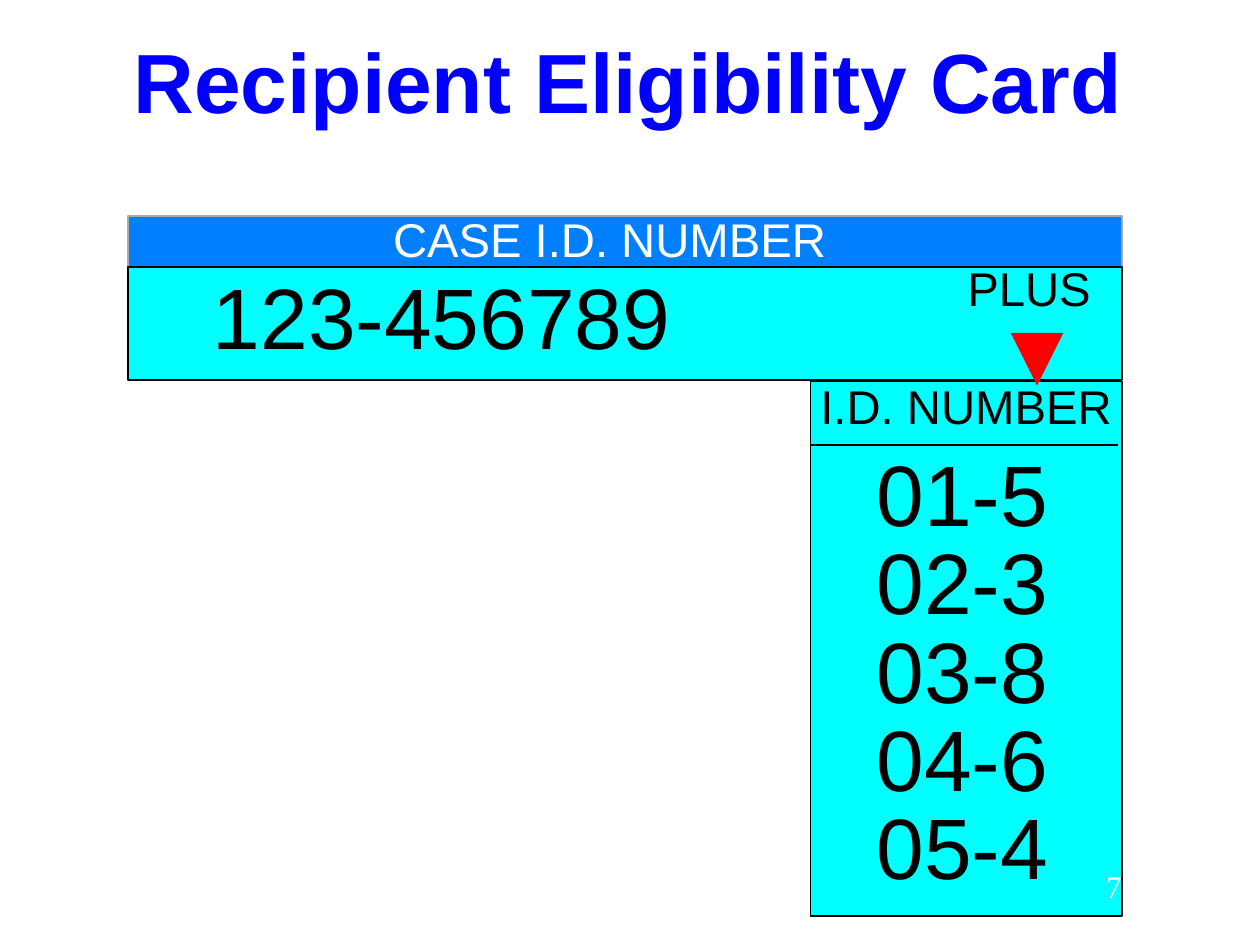
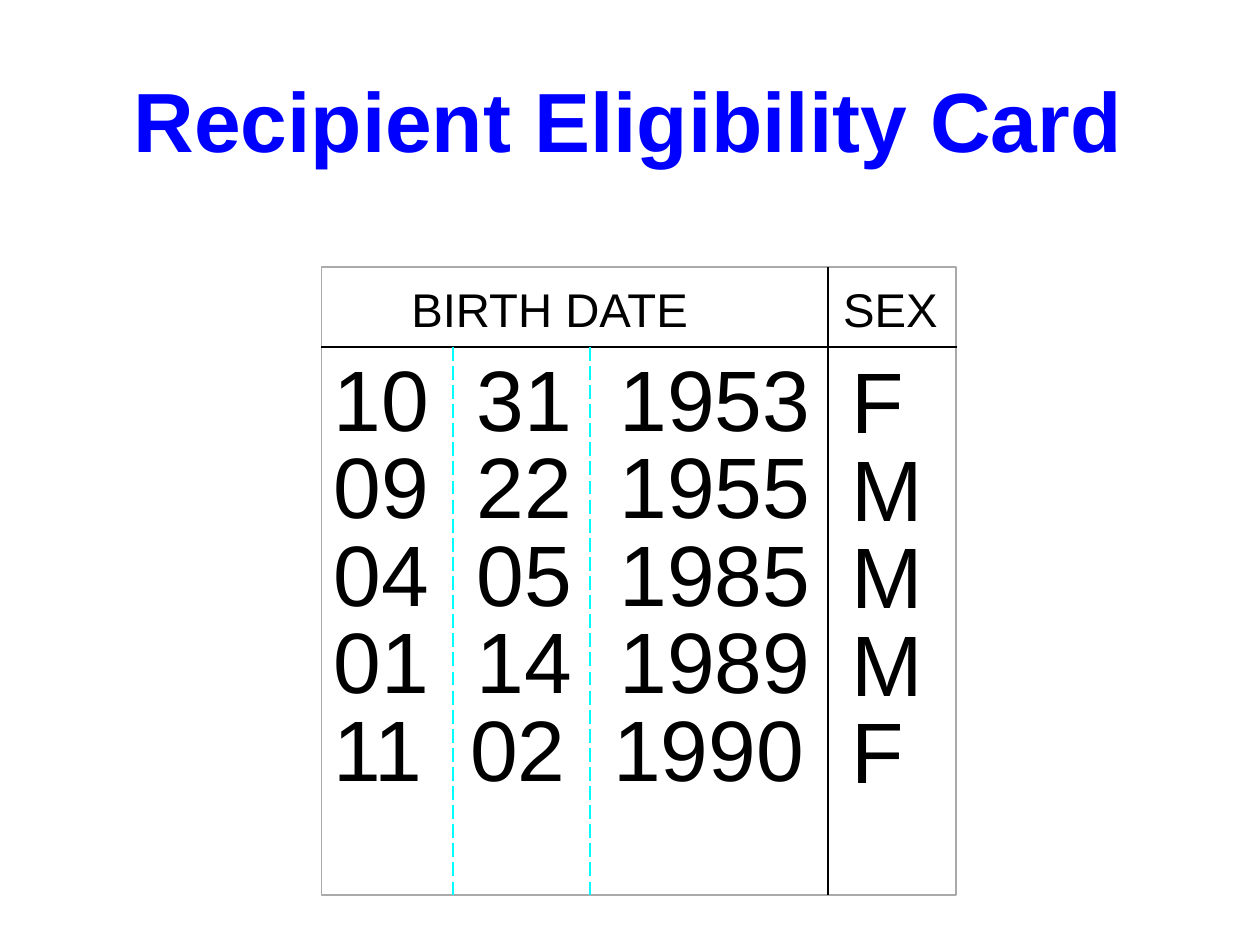
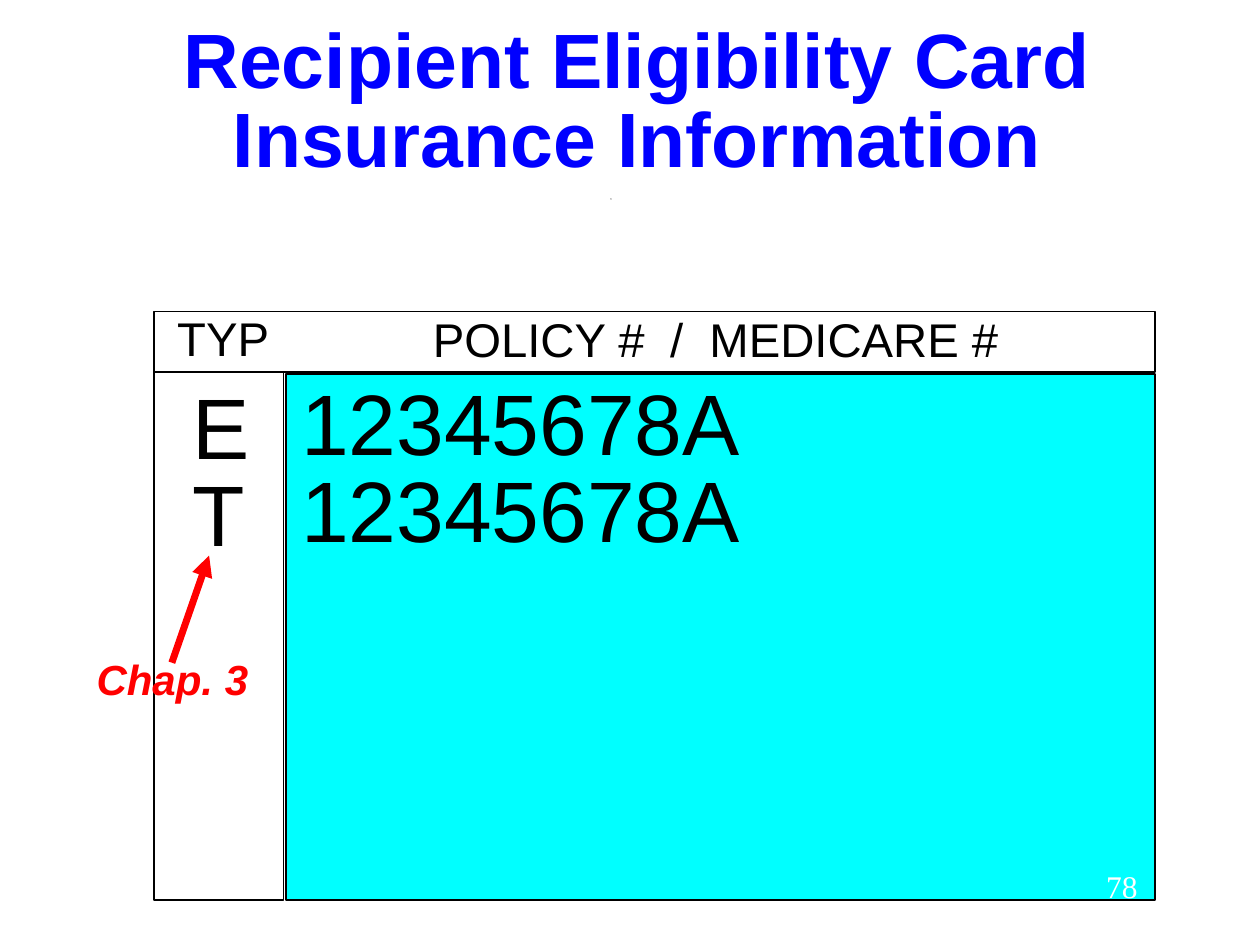
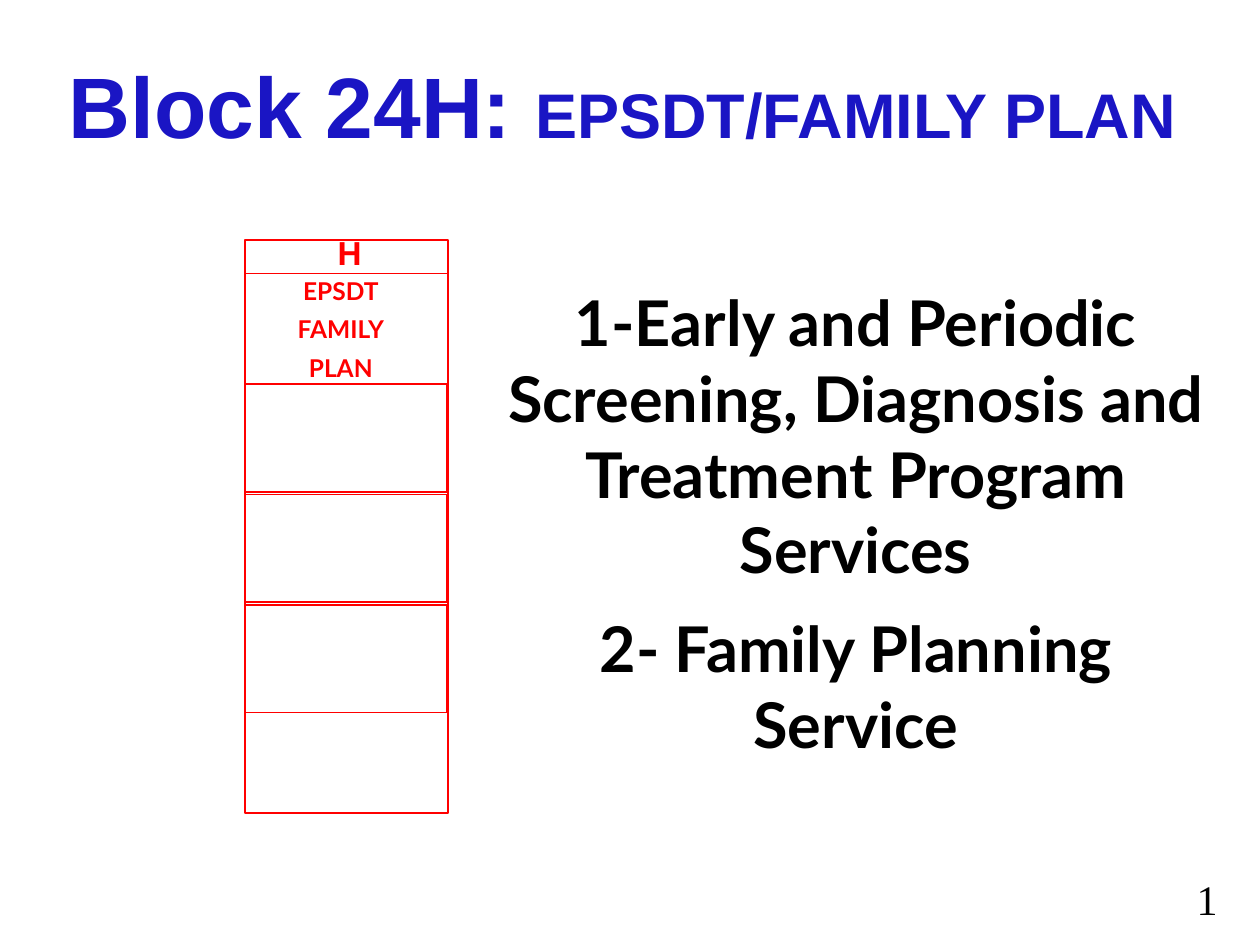
from pptx import Presentation
from pptx.dml.color import RGBColor
from pptx.enum.dml import MSO_LINE
from pptx.enum.shapes import MSO_CONNECTOR, MSO_SHAPE
from pptx.enum.text import MSO_ANCHOR, MSO_AUTO_SIZE, PP_ALIGN
from pptx.oxml.ns import qn
from pptx.util import Pt
from lxml import etree

RECT = MSO_SHAPE.RECTANGLE
STRAIGHT = MSO_CONNECTOR.STRAIGHT
LONG_DASH = MSO_LINE.LONG_DASH
TOP, MIDDLE, BOTTOM = MSO_ANCHOR.TOP, MSO_ANCHOR.MIDDLE, MSO_ANCHOR.BOTTOM
LEFT, CENTER, RIGHT = PP_ALIGN.LEFT, PP_ALIGN.CENTER, PP_ALIGN.RIGHT
FIT, FIXED = MSO_AUTO_SIZE.SHAPE_TO_FIT_TEXT, MSO_AUTO_SIZE.NONE

COLORS = {
    "white": "FFFFFF", "black": "000000", "gray": "AAAAAA", "red": "FF0000",
    "cyan": "00FFFF", "band": "0080FF", "title": "0000FF", "block": "1A15C4",
}
SANS, LATO, SERIF = "Arial", "Lato", "Times New Roman"
LABEL_SIZE, ENTRY_SIZE = 27, 49
TIGHT = 0.85


def rgb(name):
    return RGBColor.from_string(COLORS[name])


def add_panel(slide, left, top, width, height, fill=None, line="black"):
    panel = slide.shapes.add_shape(RECT, Pt(left), Pt(top), Pt(width), Pt(height))
    panel.shadow.inherit = False
    if fill:
        panel.fill.solid()
        panel.fill.fore_color.rgb = rgb(fill)
    else:
        panel.fill.background()
    panel.line.color.rgb = rgb(line)
    panel.line.width = Pt(1)


def add_rule(slide, start, end, color="black", width=1, dash=None, arrow=False):
    rule = slide.shapes.add_connector(STRAIGHT, *(Pt(v) for v in start + end))
    rule.line.color.rgb = rgb(color)
    rule.line.width = Pt(width)
    if dash:
        rule.line.dash_style = dash
    properties = rule._element.spPr
    if arrow:
        etree.SubElement(properties.find(qn("a:ln")), qn("a:tailEnd"), type="triangle")
    etree.SubElement(properties, qn("a:effectLst"))


def add_tabs(paragraph, stops):
    tab_list = etree.SubElement(paragraph._p.get_or_add_pPr(), qn("a:tabLst"))
    for stop in stops:
        etree.SubElement(tab_list, qn("a:tab"), pos=str(Pt(stop)), algn="l")


def add_text(slide, left, top, width, height, paragraphs, size, color="black",
             font=SANS, bold=False, italic=False, align=LEFT, anchor=MIDDLE,
             spacing=None, before=0, wrap=False, fit=FIT, tabs=()):
    """Each paragraph is a string or a list of (text, size); a newline breaks the line.

    tabs holds the tab stops of each paragraph.
    """
    box = slide.shapes.add_textbox(Pt(left), Pt(top), Pt(width), Pt(height))
    frame = box.text_frame
    frame.word_wrap = wrap
    frame.auto_size = fit
    frame.vertical_anchor = anchor
    for index, content in enumerate(paragraphs):
        paragraph = frame.add_paragraph() if index else frame.paragraphs[0]
        paragraph.alignment = align
        if spacing:
            paragraph.line_spacing = spacing
        if index:
            paragraph.space_before = Pt(before)
        if tabs:
            add_tabs(paragraph, tabs[index])
        parts = [(content, size)] if isinstance(content, str) else content
        for text, part_size in parts:
            for number, line in enumerate(text.split("\n")):
                if number:
                    paragraph.add_line_break()
                run = paragraph.add_run()
                run.text = line
                run.font.name = font
                run.font.size = Pt(part_size)
                run.font.bold = bold
                run.font.italic = italic
                run.font.color.rgb = rgb(color)


def add_title(slide, left, top, width, height, text, size=48):
    add_text(slide, left, top, width, height, [text], size, "title", bold=True,
             align=CENTER, spacing=TIGHT)


def add_label(slide, left, top, width, text, color="black", **options):
    add_text(slide, left, top, width, 34.5, [text], LABEL_SIZE, color,
             spacing=TIGHT, **options)


def add_entry(slide, left, top, width, height, *paragraphs, **options):
    add_text(slide, left, top, width, height, paragraphs, ENTRY_SIZE,
             spacing=TIGHT, **options)


def add_page_number(slide, number):
    add_text(slide, 516.2, 492, 141, 36, [number], 18, "white", SERIF,
             align=RIGHT, anchor=TOP, wrap=True, fit=FIXED)


def build_case_number(slide):
    # Card panels
    add_panel(slide, 73.3, 123.3, 568, 29, "band", "gray")
    add_panel(slide, 73.3, 152.7, 568, 64.3, "cyan")
    add_panel(slide, 463.1, 218, 178, 305.5, "cyan")
    # Headings
    add_label(slide, 217.5, 121.5, 262, "CASE I.D. NUMBER", "white")
    add_label(slide, 545.7, 149.6, 85, "PLUS")
    add_label(slide, 461.7, 217, 181, "I.D. NUMBER")
    add_rule(slide, (462.8, 254.2), (638.8, 254.2))
    # Case number and the numbers of its members
    add_entry(slide, 114.5, 156, 276, 57, "123-456789")
    for row, member in enumerate(["01-5", "02-3", "03-8", "04-6", "05-4"]):
        add_entry(slide, 493.8, 257.5 + 50.4 * row, 116, 57, member)
    add_rule(slide, (592.6, 193.8), (592.6, 220.3), "red", 10, arrow=True)
    add_title(slide, 69, 22.2, 580, 56, "Recipient Eligibility Card")
    add_page_number(slide, "72")


def build_birth_dates(slide):
    left, top, bottom, header_bottom = 183.8, 152.7, 511.6, 198.2
    add_panel(slide, left, top, 362.5, bottom - top, "white", "gray")
    # Headings
    add_label(slide, 228, 161.5, 175, "BIRTH DATE")
    add_label(slide, 474.7, 161.5, 68.5, "SEX")
    # Records; the narrow month 11 draws its row to the left
    add_entry(slide, 479.5, 204.5, 55, 257, "\n".join("FMMMF"))
    birth_dates = ["10\t31\t1953", "09\t22\t1955", "04\t05\t1985", "01\t14\t1989"]
    add_entry(slide, 183.5, 203, 294, 257, "\n".join(birth_dates), "11\t02\t1990",
              wrap=True, tabs=((81.75, 163.5), (78.1, 159.9)))
    # Grid
    add_rule(slide, (183.5, header_bottom), (547, header_bottom))
    add_rule(slide, (473, top), (473, bottom))
    for x in (337, 258.7):
        add_rule(slide, (x, header_bottom), (x, bottom), "cyan", dash=LONG_DASH)
    add_title(slide, 69, 44.5, 580, 56, "Recipient Eligibility Card")


def build_insurance(slide):
    # Card panels
    add_panel(slide, 88, 178.5, 74, 335.7, "white")
    add_panel(slide, 88, 178, 572, 34.5, "white")
    add_panel(slide, 163.5, 213.5, 496.5, 301, "cyan")
    # Entries and headings
    add_entry(slide, 165, 216.5, 265, 107.5, "12345678A\n12345678A")
    add_entry(slide, 103, 218.7, 47, 107.5, "E\nT")
    add_label(slide, 94.2, 178, 67, "TYP")
    add_label(slide, 240.3, 178.5, 348, "POLICY #\t/\tMEDICARE #",
              wrap=True, tabs=((135.5, 158),))
    add_panel(slide, 349, 113.7, 0, 0, line="gray")
    add_title(slide, 97.8, 11.5, 533, 96.5,
              "Recipient Eligibility Card\nInsurance Information", 44)
    # Chapter reference
    add_text(slide, 48, 374.5, 101, 31, ["Chap. 3"], 24, "red", bold=True,
             italic=True, align=CENTER, spacing=TIGHT)
    add_rule(slide, (98.2, 378.7), (119.5, 317.5), "red", 4, arrow=True)
    add_page_number(slide, "78")


def build_family_plan(slide):
    # Form column H
    add_panel(slide, 140.2, 137, 116, 327.5, line="red")
    for row in range(4):
        width, height = (116, 63.2) if row == 0 else (115.2, 61.6)
        add_panel(slide, 140.2, 156.3 + 63.1 * row, width, height, line="red")
    add_text(slide, 185.8, 129.7, 28, 29.5, ["H"], 19, "red", bold=True,
             anchor=BOTTOM)
    add_text(slide, 137.8, 154, 114, 68, ["EPSDT", "FAMILY", "PLAN"], 14, "red", LATO,
             bold=True, align=CENTER, anchor=BOTTOM, before=5.2, wrap=True)
    # Title and explanation
    add_text(slide, 24.2, 26.8, 663, 65.5,
             [[("Block 24H: ", 49), ("EPSDT/FAMILY PLAN", 36)]], 49, "block",
             bold=True, align=CENTER, anchor=BOTTOM)
    services = ["1-Early and Periodic Screening, Diagnosis and Treatment Program Services",
                "2- Family Planning Service"]
    add_text(slide, 282, 159, 414, 279.5, services, 36, font=LATO, bold=True,
             align=CENTER, anchor=BOTTOM, before=13.5, wrap=True)
    add_text(slide, 664.8, 495.5, 38, 36, ["1"], 24, font=SERIF, align=RIGHT,
             anchor=TOP, wrap=True)


def main():
    deck = Presentation()
    deck.slide_width, deck.slide_height = Pt(720), Pt(540)
    blank = deck.slide_layouts[6]
    for build in (build_case_number, build_birth_dates, build_insurance,
                  build_family_plan):
        build(deck.slides.add_slide(blank))
    deck.save("out.pptx")


if __name__ == "__main__":
    main()
